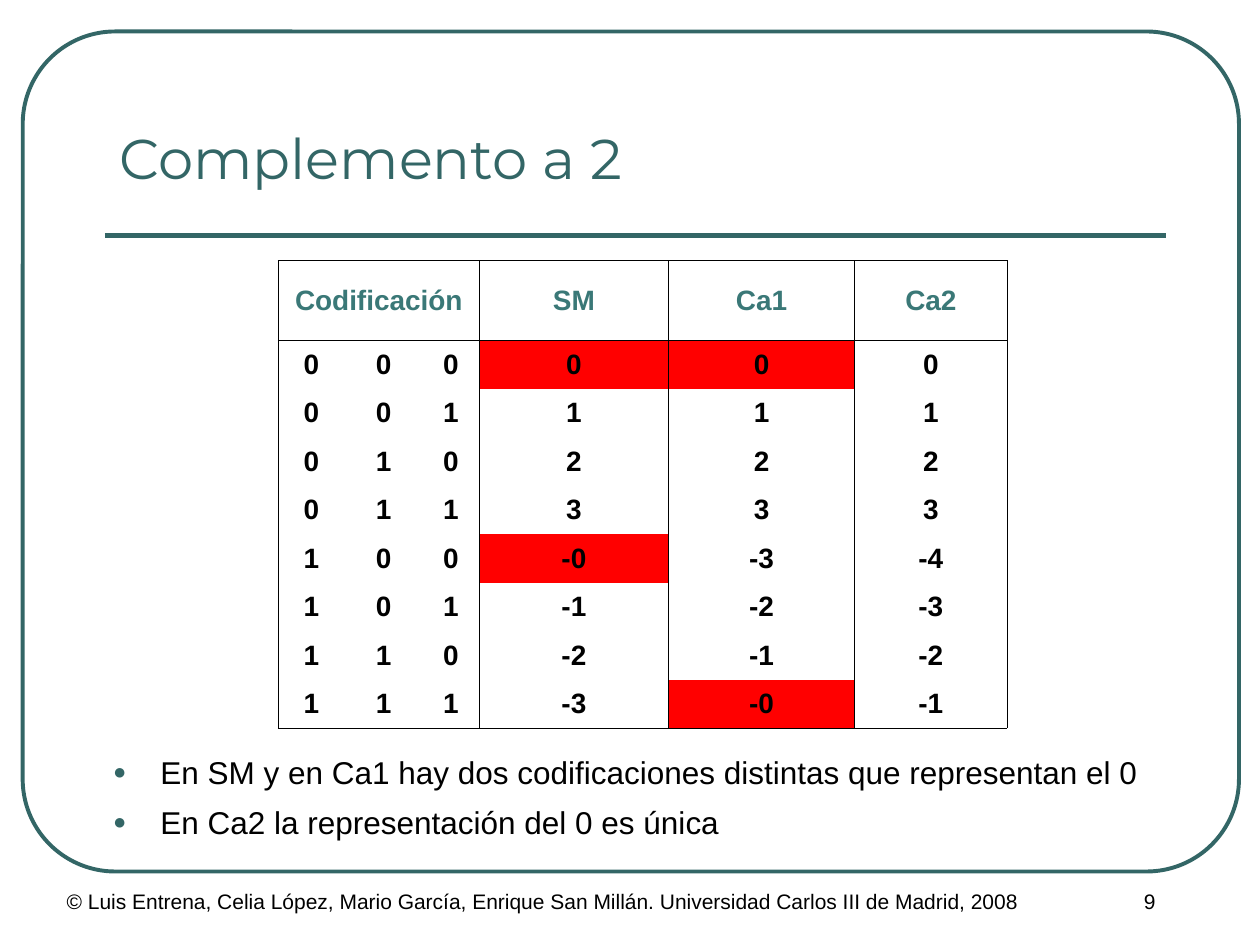
from dataclasses import dataclass

from pptx import Presentation
from pptx.dml.color import RGBColor
from pptx.enum.shapes import MSO_CONNECTOR, MSO_SHAPE
from pptx.enum.text import MSO_ANCHOR, MSO_AUTO_SIZE, PP_ALIGN
from pptx.oxml.ns import qn
from pptx.util import Pt
from lxml.etree import SubElement


@dataclass(frozen=True)
class Theme:
    accent: str = "336666"
    header: str = "3A7877"
    ink: str = "000000"
    mark: str = "FF0000"
    title_font: str = "Montserrat"
    text_font: str = "Arial"
    title_size: float = 32
    body_size: float = 18
    table_size: float = 16
    footer_size: float = 12


def set_all(obj, values):
    for name, value in values.items():
        setattr(obj, name, value)


def place(sp, box):
    set_all(sp, dict(zip(("left", "top", "width", "height"), map(Pt, box))))


class SlideBuilder:
    def __init__(self, slide, theme):
        self.s, self.theme = slide, theme

    def font(self, target, size, color=None, name=None, bold=False):
        set_all(target.font, {"name": name or self.theme.text_font,
                              "size": Pt(size), "bold": bold})
        target.font.color.rgb = RGBColor.from_string(color or self.theme.ink)

    def stroke(self, sp, width):
        sp.line.color.rgb = RGBColor.from_string(self.theme.accent)
        sp.line.width = Pt(width)

    def frame(self, box, radius, width):
        sp = self.s.shapes.add_shape(MSO_SHAPE.ROUNDED_RECTANGLE, *map(Pt, box))
        sp.adjustments[0] = radius
        sp.shadow.inherit = False
        sp.fill.background()
        self.stroke(sp, width)

    def rule(self, x1, x2, y, width):
        sp = self.s.shapes.add_connector(MSO_CONNECTOR.STRAIGHT, *map(Pt, (x1, y, x2, y)))
        SubElement(sp._element.spPr, qn("a:effectLst"))
        self.stroke(sp, width)

    def title(self, text, box):
        sp = self.s.shapes.title
        place(sp, box)
        tf = sp.text_frame
        tf.text = text
        set_all(tf, {"vertical_anchor": MSO_ANCHOR.BOTTOM,
                     "auto_size": MSO_AUTO_SIZE.NONE})
        p = tf.paragraphs[0]
        p.alignment = PP_ALIGN.LEFT
        self.font(p, self.theme.title_size, self.theme.accent, self.theme.title_font)

    def bullets(self, lines, box, indent):
        sp = self.s.placeholders[1]
        place(sp, box)
        tf = sp.text_frame
        tf.text = "\n".join(lines)
        tf.auto_size = MSO_AUTO_SIZE.NONE
        for i, p in enumerate(tf.paragraphs):
            set_all(p, {"line_spacing": 0.9, "space_before": Pt(9 if i else 0)})
            pPr = p._p.get_or_add_pPr()
            pPr.set("marL", str(Pt(indent)))
            pPr.set("indent", str(-Pt(indent)))
            color = SubElement(pPr, qn("a:buClr"))
            SubElement(color, qn("a:srgbClr"), val=self.theme.accent)
            SubElement(pPr, qn("a:buSzPct"), val="70000")
            SubElement(pPr, qn("a:buFont"), typeface=self.theme.text_font)
            SubElement(pPr, qn("a:buChar"), char="●")
            self.font(p, self.theme.body_size)

    def text(self, text, box, align=PP_ALIGN.LEFT):
        tf = self.s.shapes.add_textbox(*map(Pt, box)).text_frame
        tf.word_wrap = True
        p = tf.paragraphs[0]
        p.text = text
        p.alignment = align
        self.font(p, self.theme.footer_size)

    def borders(self, cell, sides):
        """Draw the sides named in a string such as "LT" and clear the others."""
        tcPr = cell._tc.get_or_add_tcPr()
        for side in "LRTB":
            ln = SubElement(tcPr, qn(f"a:ln{side}"), w=str(Pt(0.45)))
            if side in sides:
                fill = SubElement(ln, qn("a:solidFill"))
                SubElement(fill, qn("a:srgbClr"), val=self.theme.ink)
            else:
                SubElement(ln, qn("a:noFill"))

    def cell(self, cell, text, sides, marked, header):
        self.borders(cell, sides)
        if marked:
            cell.fill.solid()
            cell.fill.fore_color.rgb = RGBColor.from_string(self.theme.mark)
        else:
            cell.fill.background()
        cell.text = text
        cell.vertical_anchor = MSO_ANCHOR.MIDDLE
        p = cell.text_frame.paragraphs[0]
        p.alignment = PP_ALIGN.CENTER
        self.font(p, self.theme.table_size,
                  self.theme.header if header else self.theme.ink, bold=True)

    def code_table(self, rows, left, top, widths, heights, bits, marked_cols):
        """Table whose first `bits` columns form one group under a merged header."""
        box = (left, top, sum(widths), sum(heights))
        tbl = self.s.shapes.add_table(len(rows), len(widths), *map(Pt, box)).table
        set_all(tbl, {"first_row": False, "horz_banding": False})
        for col, width in zip(tbl.columns, widths):
            col.width = Pt(width)
        for row, height in zip(tbl.rows, heights):
            row.height = Pt(height)
        tbl.cell(0, 0).merge(tbl.cell(0, bits - 1))
        for r, values in enumerate(rows):
            for c, value in enumerate(values):
                sides = "".join(side for side, drawn in (
                    ("L", c == 0 or c >= bits),
                    ("R", c >= bits - 1),
                    ("T", r <= 1),
                    ("B", r in (0, len(rows) - 1))) if drawn)
                marked = c in marked_cols and value in ("0", "-0")
                self.cell(tbl.cell(r, c), value, sides, marked, header=r == 0)


def main():
    prs = Presentation()
    set_all(prs, {"slide_width": Pt(720), "slide_height": Pt(540)})
    b = SlideBuilder(prs.slides.add_slide(prs.slide_layouts[1]), Theme())

    b.frame((13, 18, 695, 480), 0.11, 2.25)
    b.rule(60, 666, 134.5, 3)
    b.text("© Luis Entrena, Celia López, Mario García, Enrique San Millán. "
           "Universidad Carlos III de Madrid, 2008", (31, 504, 612, 36))
    b.text("9", (594, 504, 126, 36), PP_ALIGN.CENTER)
    b.title("Complemento a 2", (61, 22.5, 606, 90))

    sm = ("0", "1", "2", "3", "-0", "-1", "-2", "-3")
    ca1 = ("0", "1", "2", "3", "-3", "-2", "-1", "-0")
    ca2 = ("0", "1", "2", "3", "-4", "-3", "-2", "-1")
    rows = [("Codificación", "", "", "SM", "Ca1", "Ca2")]
    rows += [(*f"{n:03b}", *values) for n, values in enumerate(zip(sm, ca1, ca2))]
    b.code_table(rows, 159, 149, widths=(38, 44.5, 32.5, 108, 106.5, 87),
                 heights=[45.5] + [27.7] * 8, bits=3, marked_cols=(3, 4))

    b.bullets(("En SM y en Ca1 hay dos codificaciones distintas que representan el 0",
               "En Ca2 la representación del 0 es única"),
              (57.5, 429, 611, 65), indent=27)
    prs.save("out.pptx")


if __name__ == "__main__":
    main()
